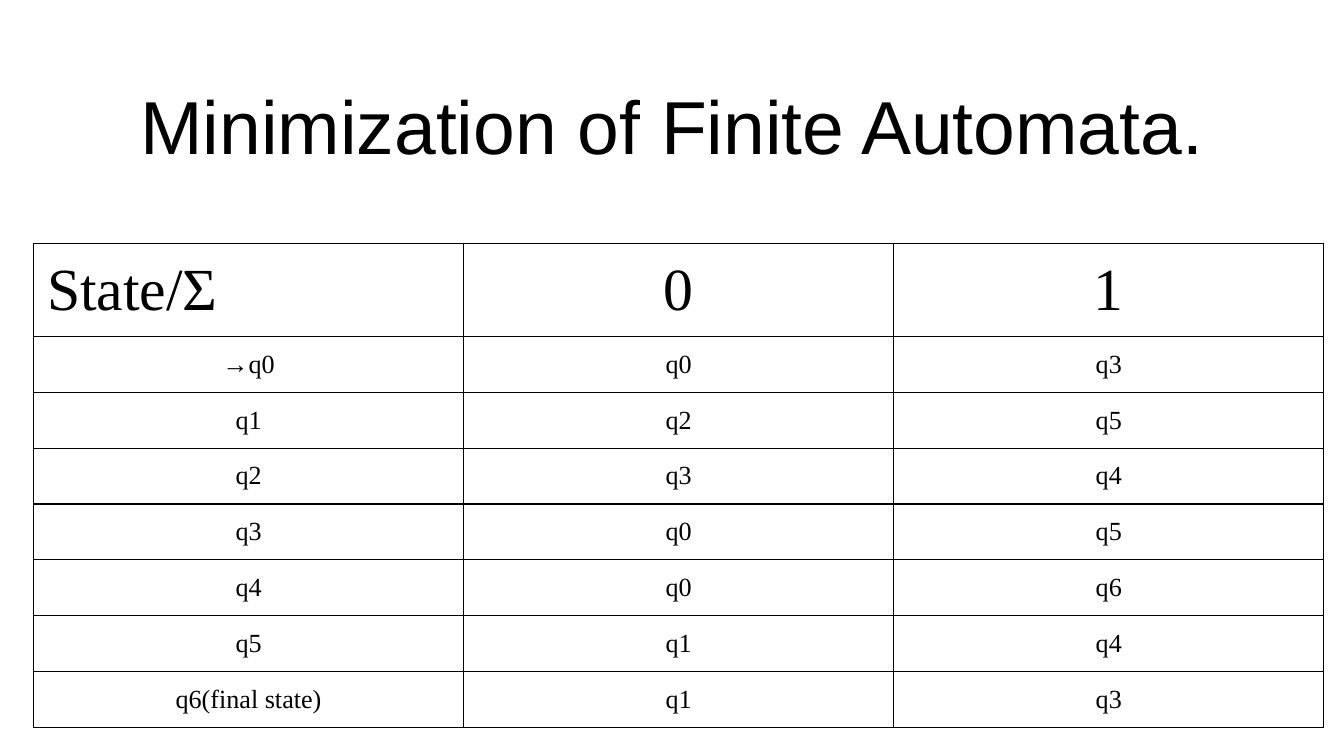
import pptx
import pptx.dml.color
import pptx.enum.text
import pptx.oxml
import pptx.oxml.ns
import pptx.util
from dataclasses import dataclass

Inches = pptx.util.Inches
ALIGN = pptx.enum.text.PP_ALIGN
ANCHOR = pptx.enum.text.MSO_ANCHOR


@dataclass
class Theme:
    ink: str = "000000"
    title_font: str = "Arial"
    table_font: str = "Times New Roman"
    title_size: float = 40.2
    header_size: float = 32
    body_size: float = 14
    border: float = 0.75


theme = Theme()


def write(frame, text, *, font, size, align=ALIGN.CENTER):
    """Fill a text frame with one formatted paragraph."""
    para = frame.paragraphs[0]
    para.alignment = align
    span = para.add_run()
    span.text = text
    span.font.name = font
    span.font.size = pptx.util.Pt(size)
    span.font.bold = False
    span.font.color.rgb = pptx.dml.color.RGBColor.from_string(theme.ink)


def add_borders(cell):
    """Draw a solid line on all four sides of a cell."""
    properties = cell._tc.get_or_add_tcPr()
    for side in ("lnL", "lnR", "lnT", "lnB"):
        properties.append(pptx.oxml.parse_xml(
            f'<a:{side} {pptx.oxml.ns.nsdecls("a")} w="{pptx.util.Pt(theme.border)}">'
            f'<a:solidFill><a:srgbClr val="{theme.ink}"/></a:solidFill>'
            f'<a:prstDash val="solid"/></a:{side}>'))


# Widescreen page, 16:9
deck = pptx.Presentation()
deck.slide_width = Inches(10)
deck.slide_height = Inches(10 * 9 / 16)
page = deck.slides.add_slide(deck.slide_layouts[5])

# Title
title = page.shapes.title
title.left, title.top = Inches(0.34), Inches(0.49)
title.width, title.height = Inches(9.32), Inches(0.63)
frame = title.text_frame
frame.word_wrap = True
frame.auto_size = pptx.enum.text.MSO_AUTO_SIZE.NONE
frame.vertical_anchor = ANCHOR.TOP
frame.margin_left = frame.margin_right = Inches(0.1)
frame.margin_top = frame.margin_bottom = Inches(0.1)
write(frame, "Minimization of Finite Automata.",
      font=theme.title_font, size=theme.title_size)

# Transition table
rows = [
    ("State/Σ", "0", "1"),
    ("→q0", "q0", "q3"),
    ("q1", "q2", "q5"),
    ("q2", "q3", "q4"),
    ("q3", "q0", "q5"),
    ("q4", "q0", "q6"),
    ("q5", "q1", "q4"),
    ("q6(final state)", "q1", "q3"),
]
heights = [0.56] + [0.38] * 5 + [0.35] * 2
table = page.shapes.add_table(len(rows), 3, Inches(0.25), Inches(1.81),
                              Inches(9.6), Inches(sum(heights))).table
table.first_row = False
table.horz_banding = False
for column in table.columns:
    column.width = Inches(3.2)

for row_index, (values, height) in enumerate(zip(rows, heights)):
    table.rows[row_index].height = Inches(height)
    is_header = row_index == 0
    for column_index, value in enumerate(values):
        cell = table.cell(row_index, column_index)
        cell.margin_left = cell.margin_right = Inches(0.1)
        cell.margin_top = cell.margin_bottom = Inches(0.1)
        add_borders(cell)
        cell.fill.background()
        is_corner = is_header and column_index == 0
        write(cell.text_frame, value, font=theme.table_font,
              size=theme.header_size if is_header else theme.body_size,
              align=ALIGN.LEFT if is_corner else ALIGN.CENTER)

deck.save("out.pptx")
